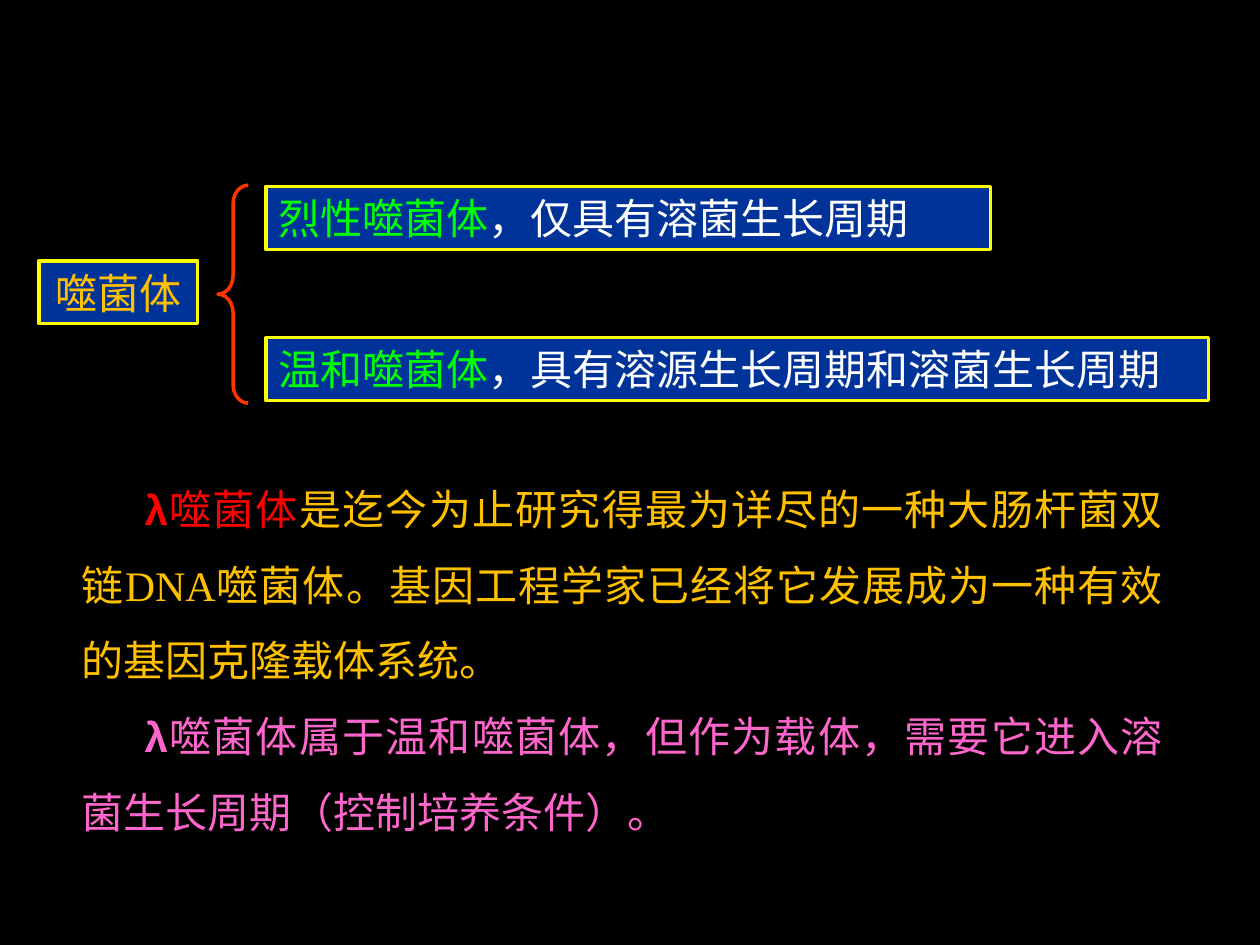
from pptx import Presentation
from pptx.dml.color import RGBColor
from pptx.enum.shapes import MSO_SHAPE
from pptx.enum.text import MSO_ANCHOR, PP_ALIGN
from pptx.util import Inches, Pt

RECT, BRACE = MSO_SHAPE.RECTANGLE, MSO_SHAPE.LEFT_BRACE
TOP, MIDDLE = MSO_ANCHOR.TOP, MSO_ANCHOR.MIDDLE
CENTER, JUSTIFY = PP_ALIGN.CENTER, PP_ALIGN.JUSTIFY

COLORS = {
    "background": "000000", "box": "003399", "border": "FFFF00",
    "brace": "FF3300", "gold": "FFC000", "green": "00FF00",
    "white": "FFFFFF", "red": "FF0000", "pink": "FF66CC",
}
BODY = {"name": "Times New Roman", "size": Pt(24), "bold": False}
SYMBOL = {"name": "Arial", "size": Pt(24), "bold": True}


def color(name):
    return RGBColor.from_string(COLORS[name])


class PhageSlide:
    """Places elements on a grid of 100 columns by 75 rows."""

    CELL = Inches(0.1)

    def __init__(self, deck):
        self.slide = deck.slides.add_slide(deck.slide_layouts[6])
        fill = self.slide.background.fill
        fill.solid()
        fill.fore_color.rgb = color("background")

    def place(self, *cells):
        return [round(cell * self.CELL) for cell in cells]

    def fill_text(self, frame, paragraphs, anchor, paragraph_format):
        frame.word_wrap = True
        frame.vertical_anchor = anchor
        for index, pieces in enumerate(paragraphs):
            paragraph = frame.add_paragraph() if index else frame.paragraphs[0]
            for key, value in paragraph_format.items():
                setattr(paragraph, key, value)
            for text, color_name, style in pieces:
                run = paragraph.add_run()
                run.text = text
                for key, value in style.items():
                    setattr(run.font, key, value)
                run.font.color.rgb = color(color_name)

    def outline(self, kind, cells, line_color):
        shape = self.slide.shapes.add_shape(kind, *self.place(*cells))
        shape.shadow.inherit = False
        shape.line.color.rgb = color(line_color)
        shape.line.width = Pt(2)
        return shape

    def box(self, cells, pieces, alignment=JUSTIFY):
        shape = self.outline(RECT, cells, "border")
        shape.fill.solid()
        shape.fill.fore_color.rgb = color("box")
        self.fill_text(shape.text_frame, [pieces], MIDDLE, {"alignment": alignment})

    def brace(self, cells, curl):
        shape = self.outline(BRACE, cells, "brace")
        shape.fill.background()
        shape.adjustments[0] = curl

    def prose(self, cells, paragraphs, indent):
        box = self.slide.shapes.add_textbox(*self.place(*cells))
        self.fill_text(box.text_frame, paragraphs, TOP,
                       {"alignment": JUSTIFY, "line_spacing": 1.5})
        for paragraph in box.text_frame.paragraphs:
            paragraph._p.get_or_add_pPr().set("indent", str(self.place(indent)[0]))


def main():
    deck = Presentation()
    deck.slide_width, deck.slide_height = Inches(10), Inches(7.5)
    page = PhageSlide(deck)

    # Classification: phages split into two kinds
    page.box((3.1, 20.7, 12.6, 5), [("噬菌体", "gold", BODY)], CENTER)
    page.brace((17.3, 14.7, 2.4, 17.3), 0.61)
    kinds = [
        (14.8, 57.5, "烈性噬菌体", "，仅具有溶菌生长周期"),
        (26.8, 74.8, "温和噬菌体", "，具有溶源生长周期和溶菌生长周期"),
    ]
    for row, width, kind, cycle in kinds:
        page.box((21.1, row, width, 5),
                 [(kind, "green", BODY), (cycle, "white", BODY)])

    # Notes on the lambda phage
    page.prose((5.5, 35.9, 87.8, 31), [
        [("λ", "red", SYMBOL), ("噬菌体", "red", BODY),
         ("是迄今为止研究得最为详尽的一种大肠杆菌双链DNA噬菌体。"
          "基因工程学家已经将它发展成为一种有效的基因克隆载体系统。", "gold", BODY)],
        [("λ", "pink", SYMBOL),
         ("噬菌体属于温和噬菌体，但作为载体，需要它进入溶菌生长周期"
          "（控制培养条件）。", "pink", BODY)],
    ], indent=5)

    deck.save("out.pptx")


if __name__ == "__main__":
    main()
